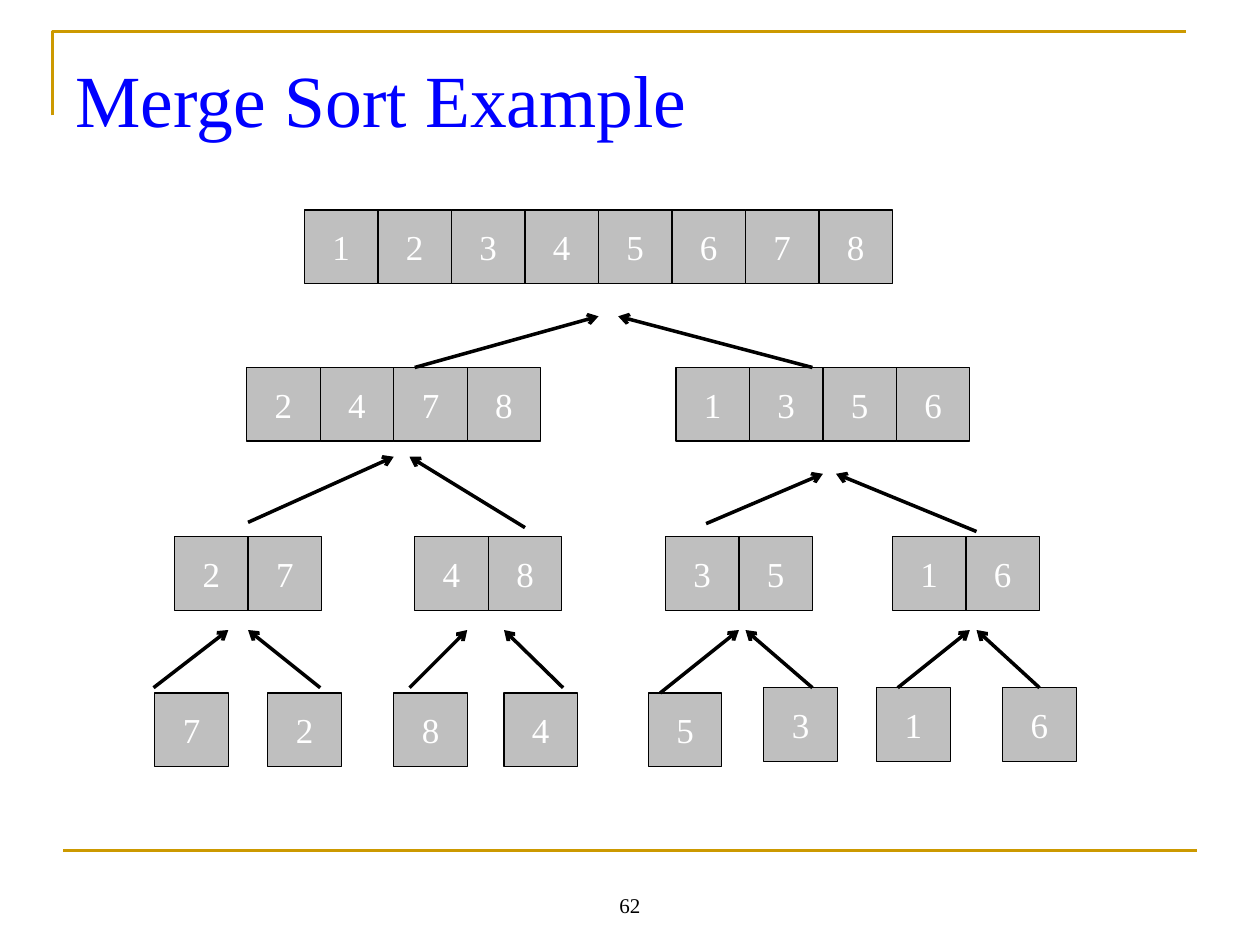
import pptx
import pptx.dml.color
import pptx.enum.shapes
import pptx.enum.text
import pptx.oxml
import pptx.oxml.ns
import pptx.util

PX = 9525
CELL = 56


def color(value):
    return pptx.dml.color.RGBColor.from_string(value)


def px(*values):
    return [pptx.util.Emu(v * PX) for v in values]


class Deck:
    font = "Times New Roman"
    gold, blue, gray, black, white = "CC9900", "0000FF", "BFBFBF", "000000", "FFFFFF"

    def __init__(self):
        self.prs = pptx.Presentation()
        self.prs.slide_width, self.prs.slide_height = px(960, 720)
        self.s = self.prs.slides.add_slide(self.prs.slide_layouts[5])

    def set_text(self, tf, text, size, fill, align, anchor):
        tf.auto_size = pptx.enum.text.MSO_AUTO_SIZE.NONE
        tf.vertical_anchor = anchor
        p = tf.paragraphs[0]
        p.alignment = align
        r = p.add_run()
        r.text = text
        r.font.name = self.font
        r.font.size = pptx.util.Pt(size)
        r.font.color.rgb = color(fill)

    def stroke(self, sp, fill, width):
        sp.line.color.rgb = color(fill)
        sp.line.width = pptx.util.Pt(width)

    def title(self, text, x, y, w, h):
        sp = self.s.shapes.title
        sp.left, sp.top, sp.width, sp.height = px(x, y, w, h)
        sp.text_frame.margin_top = px(12)[0]
        self.set_text(sp.text_frame, text, 42, self.blue,
                      pptx.enum.text.PP_ALIGN.LEFT, pptx.enum.text.MSO_ANCHOR.TOP)

    def page_number(self, text, x, y, w, h):
        tf = self.s.shapes.add_textbox(*px(x, y, w, h)).text_frame
        tf.word_wrap = True
        self.set_text(tf, text, 12, self.black,
                      pptx.enum.text.PP_ALIGN.CENTER, pptx.enum.text.MSO_ANCHOR.BOTTOM)

    def corner(self, start, *points):
        builder = self.s.shapes.build_freeform(*px(*start))
        builder.add_line_segments([px(*point) for point in points], close=False)
        sp = builder.convert_to_shape()
        sp.shadow.inherit = False
        sp.fill.background()
        self.stroke(sp, self.gold, 1.5)

    def line(self, x1, y1, x2, y2, fill, width):
        sp = self.s.shapes.add_connector(
            pptx.enum.shapes.MSO_CONNECTOR.STRAIGHT, *px(x1, y1, x2, y2))
        self.stroke(sp, fill, width)
        sp._element.spPr.append(pptx.oxml.parse_xml(
            f"<a:effectLst {pptx.oxml.ns.nsdecls('a')}/>"))
        return sp

    def rule(self, x1, y1, x2, y2):
        self.line(x1, y1, x2, y2, self.gold, 1.5)

    def arrow(self, x1, y1, x2, y2):
        sp = self.line(x1, y1, x2, y2, self.black, 2)
        sp._element.spPr.find(pptx.oxml.ns.qn("a:ln")).append(pptx.oxml.parse_xml(
            f"<a:headEnd {pptx.oxml.ns.nsdecls('a')} type='arrow'/>"))

    def array(self, x, y, digits):
        for i, digit in enumerate(digits):
            sp = self.s.shapes.add_shape(
                pptx.enum.shapes.MSO_SHAPE.RECTANGLE, *px(x + i * CELL, y, CELL, CELL))
            sp.shadow.inherit = False
            sp.fill.solid()
            sp.fill.fore_color.rgb = color(self.gray)
            self.stroke(sp, self.black, 0.75)
            sp.text_frame.word_wrap = False
            self.set_text(sp.text_frame, digit, 20, self.white,
                          pptx.enum.text.PP_ALIGN.CENTER, pptx.enum.text.MSO_ANCHOR.MIDDLE)


ARRAYS = [
    (160, [(232, "12345678")]),
    (280, [(188, "2478"), (515, "1356")]),
    (409, [(133, "27"), (316, "48"), (507, "35"), (680, "16")]),
    (528, [(118, "7"), (204, "2"), (300, "8"), (384, "4"), (494, "5")]),
    (524, [(582, "3"), (668, "1"), (764, "6")]),
]
ARROWS = [
    (456, 241, 316, 280), (471, 241, 619, 280),
    (300, 348, 189, 398), (312, 348, 400, 402),
    (627, 361, 538, 399), (637, 361, 744, 405),
    (174, 480, 117, 524), (189, 480, 244, 524),
    (356, 480, 312, 524), (384, 480, 429, 524),
    (563, 480, 503, 528), (568, 480, 619, 524),
    (739, 480, 684, 524), (744, 480, 792, 524),
]


def main():
    deck = Deck()
    deck.corner((40, 88), (40, 24), (904, 24))
    deck.rule(48, 648, 912, 648)
    deck.title("Merge Sort Example", 48, 29, 864, 120)
    deck.page_number("62", 328, 656, 304, 48)
    for y, arrays in ARRAYS:
        for x, digits in arrays:
            deck.array(x, y, digits)
    for ends in ARROWS:
        deck.arrow(*ends)
    deck.prs.save("out.pptx")


if __name__ == "__main__":
    main()
